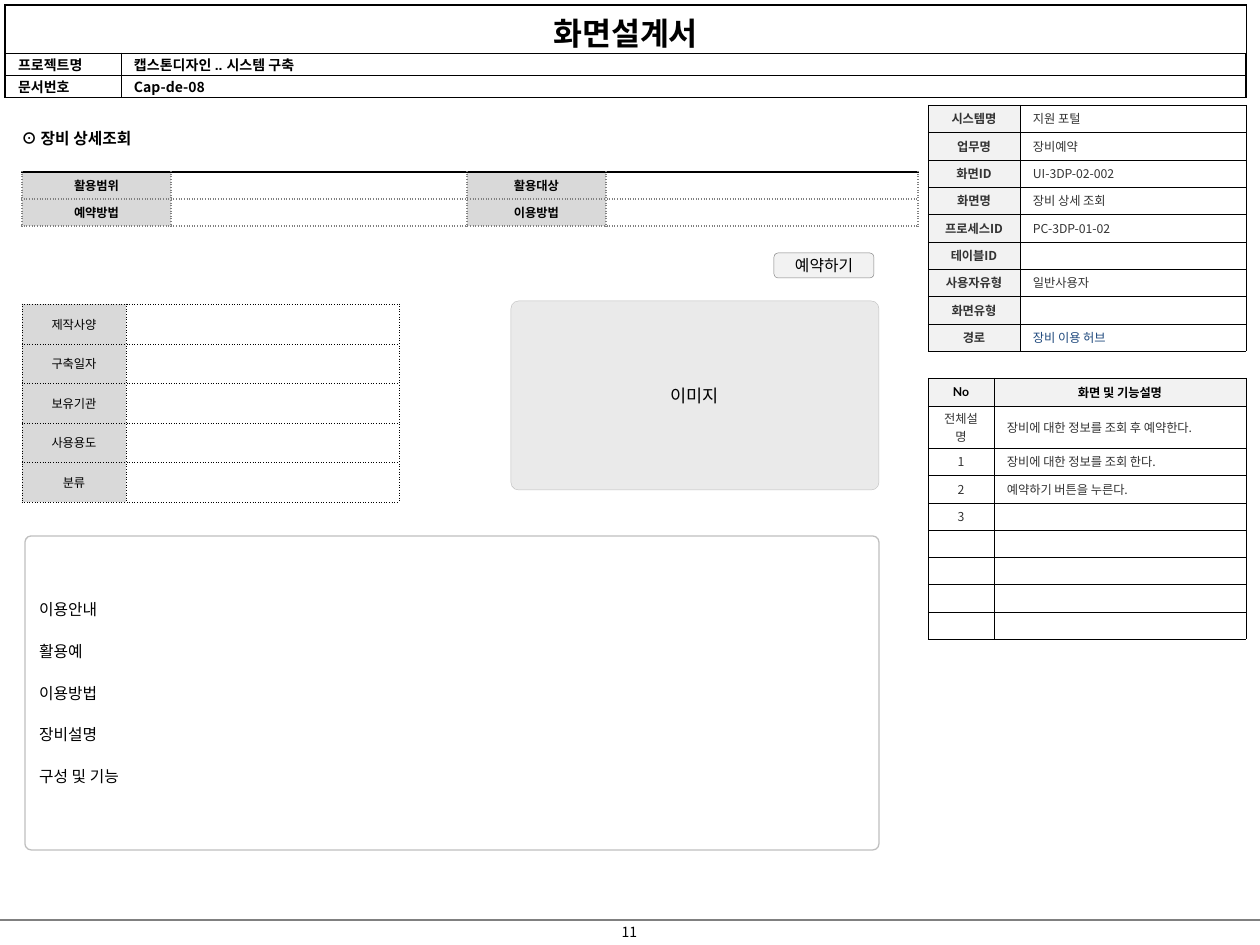
import pptx
import pptx.dml.color
import pptx.enum.shapes
import pptx.enum.text
import pptx.oxml
import pptx.oxml.ns
import pptx.util
from lxml import etree

RGBColor = pptx.dml.color.RGBColor
Align = pptx.enum.text.PP_ALIGN
Anchor = pptx.enum.text.MSO_ANCHOR
Shape = pptx.enum.shapes.MSO_SHAPE
qn = pptx.oxml.ns.qn

PX_PER_INCH = 126
BLACK = RGBColor(0x00, 0x00, 0x00)
WHITE = RGBColor(0xFF, 0xFF, 0xFF)
DARK = RGBColor(0x33, 0x33, 0x33)
NAVY = RGBColor(0x1F, 0x49, 0x7D)
GRAY = RGBColor(0x80, 0x80, 0x80)
SILVER = RGBColor(0xC0, 0xC0, 0xC0)
BORDER = RGBColor(0xBF, 0xBF, 0xBF)
LABEL_FILL = RGBColor(0xD9, 0xD9, 0xD9)
IMAGE_FILL = RGBColor(0xEA, 0xEA, 0xEA)
PALE = RGBColor(0xF2, 0xF2, 0xF2)
KOREAN = "Noto Sans CJK KR"


def px(length):
    return round(length * 914400 / PX_PER_INCH)


def spread(total, count):
    """Split total into count whole lengths as equal as possible."""
    marks = [round(total * i / count) for i in range(count + 1)]
    return [end - start for start, end in zip(marks, marks[1:])]


def style(size, color=BLACK, bold=False, name=KOREAN, align=Align.LEFT, fill=WHITE):
    font = {"size": pptx.util.Pt(size), "bold": bold, "name": name}
    return {"font": font, "color": color, "align": align, "fill": fill}


def set_attributes(target, values):
    for name, value in values.items():
        setattr(target, name, value)


def write(para, text, look):
    para.alignment = look["align"]
    if not text:
        end = etree.SubElement(para._p, qn("a:endParaRPr"))
        end.set("sz", str(look["font"]["size"].centipoints))
        return
    span = para.add_run()
    span.text = text
    set_attributes(span.font, look["font"])
    span.font.color.rgb = look["color"]
    east_asian = etree.SubElement(span.font._element, qn("a:ea"))
    east_asian.set("typeface", KOREAN)


def set_border(cell, side, line, position):
    color, width, dash = line
    xml = (f'<a:ln{side} {pptx.oxml.ns.nsdecls("a")} w="{pptx.util.Pt(width)}">'
           f'<a:solidFill><a:srgbClr val="{color}"/></a:solidFill>'
           f'<a:prstDash val="{dash}"/></a:ln{side}>')
    cell._tc.get_or_add_tcPr().insert(position, pptx.oxml.parse_xml(xml))


def draw_table(page, left, top, columns, rows, cells, line, edges=None, side_margin=13):
    """Draw rows of (text, look) cells; edges overrides line on outer sides."""
    edges = edges or {}
    frame = page.shapes.add_table(len(rows), len(columns), px(left), px(top),
                                  px(sum(columns)), px(sum(rows)))
    table = frame.table
    set_attributes(table, {"first_row": False, "horz_banding": False})
    for column, width in zip(table.columns, columns):
        column.width = px(width)
    for row, height in zip(table.rows, rows):
        row.height = px(height)
    margins = {"margin_left": px(side_margin), "margin_right": px(side_margin),
               "margin_top": 0, "margin_bottom": 0,
               "vertical_anchor": Anchor.MIDDLE}
    for r, row in enumerate(cells):
        for c, (text, look) in enumerate(row):
            cell = table.cell(r, c)
            set_attributes(cell, margins)
            cell.fill.solid()
            cell.fill.fore_color.rgb = look["fill"]
            write(cell.text_frame.paragraphs[0], text, look)
            outer = {"L": c == 0, "R": c == len(columns) - 1,
                     "T": r == 0, "B": r == len(rows) - 1}
            for position, (side, is_outer) in enumerate(outer.items()):
                set_border(cell, side, edges.get(side, line) if is_outer else line, position)
    return table


def draw_document_header(page, left, top):
    title = style(18, bold=True, align=Align.CENTER)
    label = style(8, bold=True, name="Arial")
    cells = [[("화면설계서", title), ("", label)],
             [("프로젝트명", label), ("캡스톤디자인 .. 시스템 구축", label)],
             [("문서번호", label), ("Cap-de-08", style(8, bold=True))]]
    thick = (BLACK, 1.25, "solid")
    table = draw_table(page, left, top, [116, 1125], [48, 22, 22], cells,
                       (BLACK, 0.5, "solid"), {"L": thick, "R": thick, "T": thick})
    table.cell(0, 0).merge(table.cell(0, 1))
    table.cell(0, 0).margin_top = px(4)
    for row in (1, 2):
        for column in (0, 1):
            table.cell(row, column).vertical_anchor = Anchor.BOTTOM


def draw_screen_info(page, left, top):
    label = style(7, DARK, True, align=Align.CENTER, fill=PALE)
    value = style(7, DARK)
    entries = [("시스템명", "지원 포털"), ("업무명", "장비예약"),
               ("화면ID", "UI-3DP-02-002"), ("화면명", "장비 상세 조회"),
               ("프로세스ID", "PC-3DP-01-02"), ("테이블ID", ""),
               ("사용자유형", "일반사용자"), ("화면유형", "")]
    cells = [[(name, label), (text, value)] for name, text in entries]
    cells.append([("경로", label), ("장비 이용 허브", style(7, NAVY))])
    draw_table(page, left, top, [92, 226], spread(246, 9), cells, (BLACK, 0.25, "solid"))


def draw_descriptions(page, left, top):
    number_head, text_head = (style(7, bold=True, name=name, align=Align.CENTER, fill=PALE)
                              for name in ("Lato", "Arial"))
    number, text = style(7, DARK, align=Align.CENTER), style(7, DARK)
    entries = [("전체설명", "장비에 대한 정보를 조회 후 예약한다."),
               ("1", "장비에 대한 정보를 조회 한다."),
               ("2", "예약하기 버튼을 누른다."), ("3", "")] + [("", "")] * 4
    cells = [[("No", number_head), ("화면 및 기능설명", text_head)]]
    cells += [[(key, number), (words, text)] for key, words in entries]
    draw_table(page, left, top, [66, 252], [28, 42] + spread(191, 7), cells,
               (BLACK, 0.25, "solid"))


def draw_usage(page, left, top):
    label = style(7, bold=True, name="Arial", align=Align.CENTER, fill=LABEL_FILL)
    blank = style(7)
    cells = [[(first, label), ("", blank), (second, label), ("", blank)]
             for first, second in (("활용범위", "활용대상"), ("예약방법", "이용방법"))]
    draw_table(page, left, top, [149, 296, 139, 312], [27, 27], cells,
               (GRAY, 1, "sysDot"), {"T": (BLACK, 1, "solid")})


def draw_equipment(page, left, top):
    label = style(7, name="Arial", align=Align.CENTER, fill=LABEL_FILL)
    names = ["제작사양", "구축일자", "보유기관", "사용용도", "분류"]
    cells = [[(name, label), ("", style(7))] for name in names]
    draw_table(page, left, top, [104, 273], spread(198, 5), cells,
               (BLACK, 0.5, "dot"), side_margin=0)


def draw_panel(page, box, lines, look, line, radius, gap=0, wrap=False):
    """Draw a rounded box with one paragraph for each line of text."""
    panel = page.shapes.add_shape(Shape.ROUNDED_RECTANGLE, *map(px, box))
    panel.shadow.inherit = False
    panel.adjustments[0] = radius
    panel.fill.solid()
    panel.fill.fore_color.rgb = look["fill"]
    panel.line.color.rgb, panel.line.width = line[0], pptx.util.Pt(line[1])
    frame = panel.text_frame
    set_attributes(frame, {"word_wrap": wrap, "vertical_anchor": Anchor.MIDDLE})
    for index, text in enumerate(lines):
        para = frame.add_paragraph() if index else frame.paragraphs[0]
        para.space_before = pptx.util.Pt(gap if index else 0)
        write(para, text, look)


def draw_text(page, box, text, look):
    frame = page.shapes.add_textbox(*map(px, box)).text_frame
    frame.word_wrap = False
    write(frame.paragraphs[0], text, look)


def draw_footer(page, top):
    rule = page.shapes.add_connector(pptx.enum.shapes.MSO_CONNECTOR.STRAIGHT,
                                     0, px(top), px(1260), px(top))
    rule.line.color.rgb, rule.line.width = GRAY, pptx.util.Pt(0.75)
    etree.SubElement(rule._element.spPr, qn("a:effectLst"))
    draw_text(page, (595, top - 3, 69, 30), "11", style(8, align=Align.CENTER))


def main():
    deck = pptx.Presentation()
    deck.slide_width, deck.slide_height = px(1260), px(945)
    page = deck.slides.add_slide(deck.slide_layouts[6])
    draw_footer(page, 920)
    draw_document_header(page, 5, 5)
    draw_text(page, (9, 123, 140, 32), "⊙ 장비 상세조회", style(9, bold=True))
    draw_descriptions(page, 928, 378)
    draw_screen_info(page, 928, 105)
    draw_usage(page, 22, 172)
    draw_panel(page, (511, 301, 368, 189), ["이미지"],
               style(10, align=Align.CENTER, fill=IMAGE_FILL), (SILVER, 0.25), 0.04)
    draw_equipment(page, 22, 304)
    draw_panel(page, (774, 253, 100, 25), ["예약하기"],
               style(9, align=Align.CENTER, fill=PALE), (GRAY, 0.25), 0.17)
    guide = ["이용안내", "활용예", "이용방법", "장비설명", "구성 및 기능"]
    draw_panel(page, (25, 536, 854, 314), guide, style(9), (BORDER, 0.75), 0.02,
               gap=13, wrap=True)
    deck.save("out.pptx")


if __name__ == "__main__":
    main()
